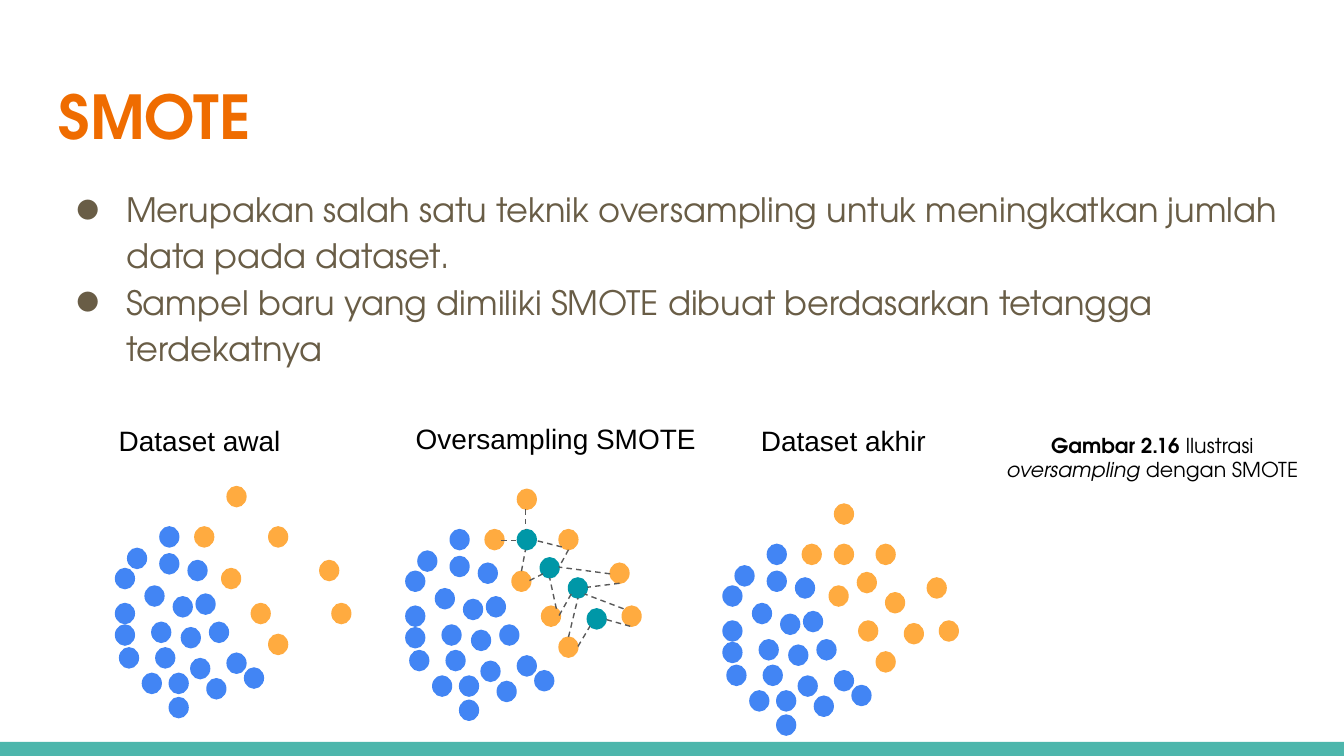
from lxml.etree import SubElement
from pptx import Presentation
from pptx.dml.color import RGBColor
from pptx.enum.dml import MSO_LINE
from pptx.enum.shapes import MSO_CONNECTOR, MSO_SHAPE
from pptx.enum.text import PP_ALIGN
from pptx.oxml.ns import qn
from pptx.util import Inches, Pt

HUES = {
    "bar": "4DB6AC", "title": "EF6C00", "body": "695D46", "text": "000000",
    "major": "4285F4", "minor": "FFAB40", "new": "0097A7", "link": "595959",
}
SANS, GEO = "Arial", "TeX Gyre Adventor"
TITLE = {"name": GEO, "size": Pt(32.4), "bold": True}
BODY = {"name": GEO, "size": Pt(18)}
LABEL = {"name": SANS, "size": Pt(15)}
NOTE = {"name": GEO, "size": Pt(11)}

MAJOR = [
    (0.86, 4.49), (0.89, 4.82), (1.13, 4.63), (0.86, 4.23), (1.16, 4.82),
    (1.06, 5.01), (1.29, 4.44), (1.35, 4.67), (1.42, 4.9), (0.86, 4.65),
    (1.26, 5.01), (0.95, 4.08), (1.46, 4.42), (1.08, 4.36), (1.19, 4.12),
    (1.4, 4.17), (1.56, 4.63), (1.69, 4.86), (1.19, 3.92), (1.82, 4.97),
    (1.54, 5.05), (1.26, 5.19),
]
MINOR = [
    (1.45, 3.92), (1.65, 4.23), (1.87, 4.49), (2, 4.72),
    (2, 3.92), (2.38, 4.17), (1.69, 3.62), (2.47, 4.49),
]
NEW = [(1.69, 3.92), (2.21, 4.51), (2.07, 4.28), (1.86, 4.13)]
LINKS = [
    (3.91, 3.79, 3.91, 3.94), (3.73, 4.02, 3.84, 4.02),
    (3.88, 4.25, 3.91, 4.09), (4.18, 4.07, 3.98, 4.02),
    (3.94, 4.32, 4.04, 4.27), (4.23, 4.09, 4.16, 4.22),
    (4.14, 4.53, 4.09, 4.3), (4.54, 4.27, 4.16, 4.22),
    (4.16, 4.58, 4.25, 4.42), (4.61, 4.34, 4.37, 4.37),
    (4.23, 4.74, 4.3, 4.45), (4.64, 4.53, 4.35, 4.42),
    (4.3, 4.81, 4.39, 4.66), (4.69, 4.66, 4.51, 4.61),
]
STAGES = [
    ("Dataset awal", (0.69, 3.05, 1.59, 0.46), 0, 0, None),
    ("Oversampling SMOTE", (2.89, 3.04, 2.49, 0.46), 2.16, 0.02, "new"),
    ("Dataset akhir", (5.48, 3.05, 1.59, 0.46), 4.52, 0.13, "minor"),
]


class Board:
    def __init__(self, slide):
        self.slide = slide

    def hue(self, key):
        return RGBColor.from_string(HUES[key])

    def shape(self, kind, box, key, edge=True):
        item = self.slide.shapes.add_shape(kind, *map(Inches, box))
        item.shadow.inherit = False
        item.fill.solid()
        item.fill.fore_color.rgb = self.hue(key)
        if edge:
            item.line.color.rgb = self.hue(key)
            item.line.width = Pt(0.75)
        else:
            item.line.fill.background()

    def dots(self, spots, key, dx, dy):
        for x, y in spots:
            self.shape(MSO_SHAPE.OVAL, (x + dx, y + dy, 0.14, 0.15), key)

    def link(self, ends):
        item = self.slide.shapes.add_connector(
            MSO_CONNECTOR.STRAIGHT, *map(Inches, ends))
        SubElement(item._element.spPr, qn("a:effectLst"))
        item.line.color.rgb = self.hue("link")
        item.line.width = Pt(0.75)
        item.line.dash_style = MSO_LINE.DASH

    def bullet(self, para, key, face):
        props = para._p.get_or_add_pPr()
        props.set("marL", str(Inches(0.5)))
        props.set("indent", str(Inches(-0.38)))
        tint = SubElement(props, qn("a:buClr"))
        SubElement(tint, qn("a:srgbClr")).set("val", HUES[key])
        SubElement(props, qn("a:buFont")).set("typeface", face)
        SubElement(props, qn("a:buChar")).set("char", "●")
        para.line_spacing = 1.15

    def text(self, box, paras, style, key="text", align=None, dot=False):
        frame = self.slide.shapes.add_textbox(*map(Inches, box)).text_frame
        frame.word_wrap = True
        for side in ("left", "top", "right", "bottom"):
            setattr(frame, f"margin_{side}", Inches(0.1))
        for i, runs in enumerate(paras):
            para = frame.add_paragraph() if i else frame.paragraphs[0]
            if dot:
                self.bullet(para, key, style["name"])
            para.alignment = align
            for words, extra in runs:
                run = para.add_run()
                run.text = words
                for name, value in {**style, **extra}.items():
                    setattr(run.font, name, value)
                run.font.color.rgb = self.hue(key)


def main():
    deck = Presentation()
    deck.slide_width, deck.slide_height = Inches(10), Inches(10 * 9 / 16)
    board = Board(deck.slides.add_slide(deck.slide_layouts[6]))

    board.shape(MSO_SHAPE.RECTANGLE, (0, 5.52, 10, 0.11), "bar", edge=False)
    board.text((0.34, 0.49, 9.32, 0.77), [[("SMOTE", {})]], TITLE, "title")
    board.text((0.34, 1.26, 9.32, 1.64), [
        [("Merupakan salah satu teknik oversampling untuk meningkatkan "
          "jumlah data pada dataset.", {})],
        [("Sampel baru yang dimiliki SMOTE dibuat berdasarkan tetangga "
          "terdekatnya", {})],
    ], BODY, "body", dot=True)

    for label, box, dx, dy, extra in STAGES:
        board.text(box, [[(label, {})]], LABEL, align=PP_ALIGN.CENTER)
        board.dots(MAJOR, "major", dx, dy)
        board.dots(MINOR, "minor", dx, dy)
        if extra:
            board.dots(NEW, extra, dx, dy)
    for ends in LINKS:
        board.link(ends)

    board.text((7.24, 3.12, 2.67, 0.57), [[
        ("Gambar 2.16 ", {"bold": True}),
        ("Ilustrasi ", {}),
        ("oversampling", {"italic": True}),
        (" dengan SMOTE", {}),
    ]], NOTE, align=PP_ALIGN.CENTER)
    deck.save("out.pptx")


if __name__ == "__main__":
    main()
